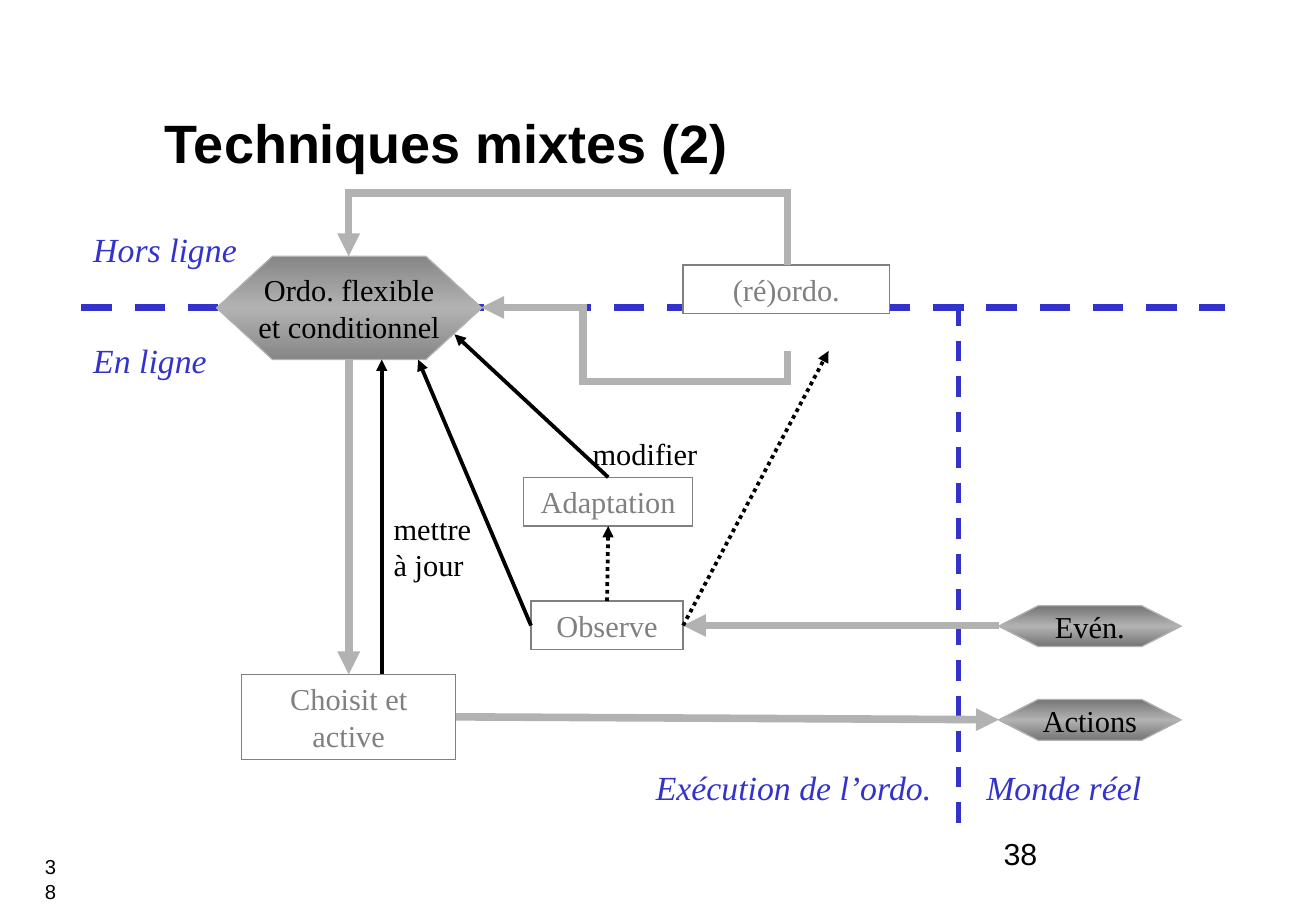
from copy import deepcopy
from dataclasses import dataclass

from lxml.etree import SubElement
from pptx import Presentation
from pptx.dml.color import RGBColor
from pptx.enum.dml import MSO_LINE
from pptx.enum.shapes import MSO_CONNECTOR, MSO_SHAPE
from pptx.enum.text import MSO_ANCHOR, PP_ALIGN
from pptx.oxml.ns import qn
from pptx.util import Cm, Pt


@dataclass(frozen=True)
class Theme:
    black: str = "000000"
    white: str = "FFFFFF"
    blue: str = "3333CC"
    grey: str = "808080"
    silver: str = "B2B2B2"
    dark_edge: str = "757575"
    soft_edge: str = "868686"
    sans: str = "Arial"
    serif: str = "Times New Roman"
    title: int = 32
    zone: int = 20
    body: int = 18
    footer: int = 12


theme = Theme()


def write(shape, text, size, color, font=theme.serif, align=PP_ALIGN.LEFT,
          anchor=MSO_ANCHOR.TOP, wrap=False, bold=False, italic=False):
    frame = shape.text_frame
    frame.text = text
    frame.word_wrap = wrap
    frame.vertical_anchor = anchor
    for paragraph in frame.paragraphs:
        paragraph.alignment = align
        for run in paragraph.runs:
            run.font.name = font
            run.font.size = Pt(size)
            run.font.bold = bold
            run.font.italic = italic
            run.font.color.rgb = RGBColor.from_string(color)


def draw_line(shape, color, width, dash=None, arrow=False):
    shape.line.color.rgb = RGBColor.from_string(color)
    shape.line.width = Pt(width)
    if dash:
        shape.line.dash_style = dash
    properties = shape._element.spPr
    outline = properties.find(qn("a:ln"))
    SubElement(outline, qn("a:miter"), lim="800000")
    if arrow:
        SubElement(outline, qn("a:tailEnd"), type="triangle")
    if properties.find(qn("a:effectLst")) is None:
        SubElement(properties, qn("a:effectLst"))


presentation = Presentation()
presentation.slide_width = Cm(27.51)
presentation.slide_height = Cm(19.05)
slide = presentation.slides.add_slide(presentation.slide_layouts[6])
shapes = slide.shapes

title = shapes.add_textbox(Cm(3.2), Cm(1.91), Cm(21.56), Cm(2.11))
write(title, "Techniques mixtes (2)", theme.title, theme.black, theme.sans,
      anchor=MSO_ANCHOR.MIDDLE, wrap=True, bold=True)

for start_x, start_y, end_x, end_y, width in [
    (20.04, 17.2, 20.04, 6.15, 3),
    (1.7, 6.43, 25.6, 6.43, 4.5),
]:
    border = shapes.add_connector(
        MSO_CONNECTOR.STRAIGHT, Cm(start_x), Cm(start_y), Cm(end_x), Cm(end_y))
    draw_line(border, theme.blue, width, MSO_LINE.DASH)

for text, left, top, width, height, adjustment, edge in [
    ("Ordo. flexible\net conditionnel", 4.53, 5.36, 5.54, 2.16, 0.54, theme.soft_edge),
    ("Evén.", 20.88, 12.67, 3.81, 0.85, 0.96, theme.dark_edge),
    ("Actions", 20.88, 14.63, 3.81, 0.85, 0.96, theme.dark_edge),
]:
    hexagon = shapes.add_shape(
        MSO_SHAPE.HEXAGON, Cm(left), Cm(top), Cm(width), Cm(height))
    hexagon.shadow.inherit = False
    hexagon.adjustments[0] = adjustment
    hexagon.fill.gradient()
    hexagon.fill.gradient_angle = 90
    stop_list = hexagon._element.spPr.find(".//" + qn("a:gsLst"))
    stop_list.insert(1, deepcopy(stop_list[0]))
    stops = zip(hexagon.fill.gradient_stops, (0, 0.5, 1), (edge, theme.silver, edge))
    for stop, position, color in stops:
        stop.position = position
        stop.color.rgb = RGBColor.from_string(color)
    draw_line(hexagon, theme.silver, 0.75)
    write(hexagon, text, theme.body, theme.black,
          align=PP_ALIGN.CENTER, anchor=MSO_ANCHOR.MIDDLE)

boxes = {}
for text, left, top, width, height in [
    ("Choisit et active", 5.05, 14.1, 4.48, 1.78),
    ("Observe", 11.1, 12.57, 3.18, 1.02),
    ("Adaptation", 10.95, 9.98, 3.53, 1.02),
    ("(ré)ordo.", 14.28, 5.54, 4.32, 1.02),
]:
    box = shapes.add_shape(
        MSO_SHAPE.RECTANGLE, Cm(left), Cm(top), Cm(width), Cm(height))
    box.shadow.inherit = False
    box.fill.solid()
    box.fill.fore_color.rgb = RGBColor.from_string(theme.white)
    draw_line(box, theme.grey, 0.75)
    write(box, text, theme.body, theme.grey, align=PP_ALIGN.CENTER, wrap=True)
    boxes[text] = box

choice, observe, adaptation, _ = boxes.values()
black_arrow = (theme.black, 2.25)
dotted_arrow = (theme.black, 2.25, MSO_LINE.ROUND_DOT)
silver_arrow = (theme.silver, 4.5)

for start, end, style in [
    ((7.29, 7.52), (choice, 0), silver_arrow),
    ((choice, 3), (20.88, 15.05), silver_arrow),
    ((20.88, 13.08), (observe, 3), silver_arrow),
    ((observe, 1), (8.74, 7.52), black_arrow),
    ((observe, 0), (adaptation, 2), dotted_arrow),
    ((observe, 3), (17.32, 7.34), dotted_arrow),
    ((adaptation, 0), (9.5, 6.99), black_arrow),
    ((7.98, 14.1), (7.98, 7.52), black_arrow),
]:
    start_joined, end_joined = start[0] in boxes.values(), end[0] in boxes.values()
    start_x, start_y = (0, 0) if start_joined else start
    end_x, end_y = (0, 0) if end_joined else end
    arrow = shapes.add_connector(
        MSO_CONNECTOR.STRAIGHT, Cm(start_x), Cm(start_y), Cm(end_x), Cm(end_y))
    if start_joined:
        arrow.begin_connect(*start)
    if end_joined:
        arrow.end_connect(*end)
    draw_line(arrow, *style, arrow=True)

for route in [
    [(16.46, 5.54), (16.46, 4.04), (7.29, 4.04), (7.29, 5.36)],
    [(16.46, 7.34), (16.46, 7.98), (12.19, 7.98), (12.19, 6.43), (10.06, 6.43)],
]:
    points = [(Cm(x), Cm(y)) for x, y in route]
    builder = shapes.build_freeform(*points[0])
    builder.add_line_segments(points[1:], close=False)
    bent_arrow = builder.convert_to_shape()
    bent_arrow.shadow.inherit = False
    bent_arrow.fill.background()
    draw_line(bent_arrow, *silver_arrow, arrow=True)

for text, left, top, width, height in [
    ("Hors ligne", 1.7, 4.65, 3.9, 1.12),
    ("En ligne", 1.7, 6.99, 3.3, 1.12),
    ("Exécution de l’ordo.", 13.46, 15.9, 6.7, 1.12),
    ("Monde réel", 20.37, 15.9, 4.2, 1.12),
]:
    zone = shapes.add_textbox(Cm(left), Cm(top), Cm(width), Cm(height))
    write(zone, text, theme.zone, theme.blue, italic=True)

for text, left, top, width, height in [
    ("mettre\nà jour", 7.98, 10.54, 2.5, 1.78),
    ("modifier", 12.14, 8.97, 3.1, 1.02),
]:
    label = shapes.add_textbox(Cm(left), Cm(top), Cm(width), Cm(height))
    write(label, text, theme.body, theme.black)

for left, top, width, height, size, align in [
    (0.69, 17.75, 0.61, 0.84, theme.footer, PP_ALIGN.CENTER),
    (20.73, 17.35, 5.74, 1.27, theme.body, PP_ALIGN.LEFT),
]:
    number = shapes.add_textbox(Cm(left), Cm(top), Cm(width), Cm(height))
    write(number, "38", size, theme.black, theme.sans, align, wrap=True)

presentation.save("out.pptx")
